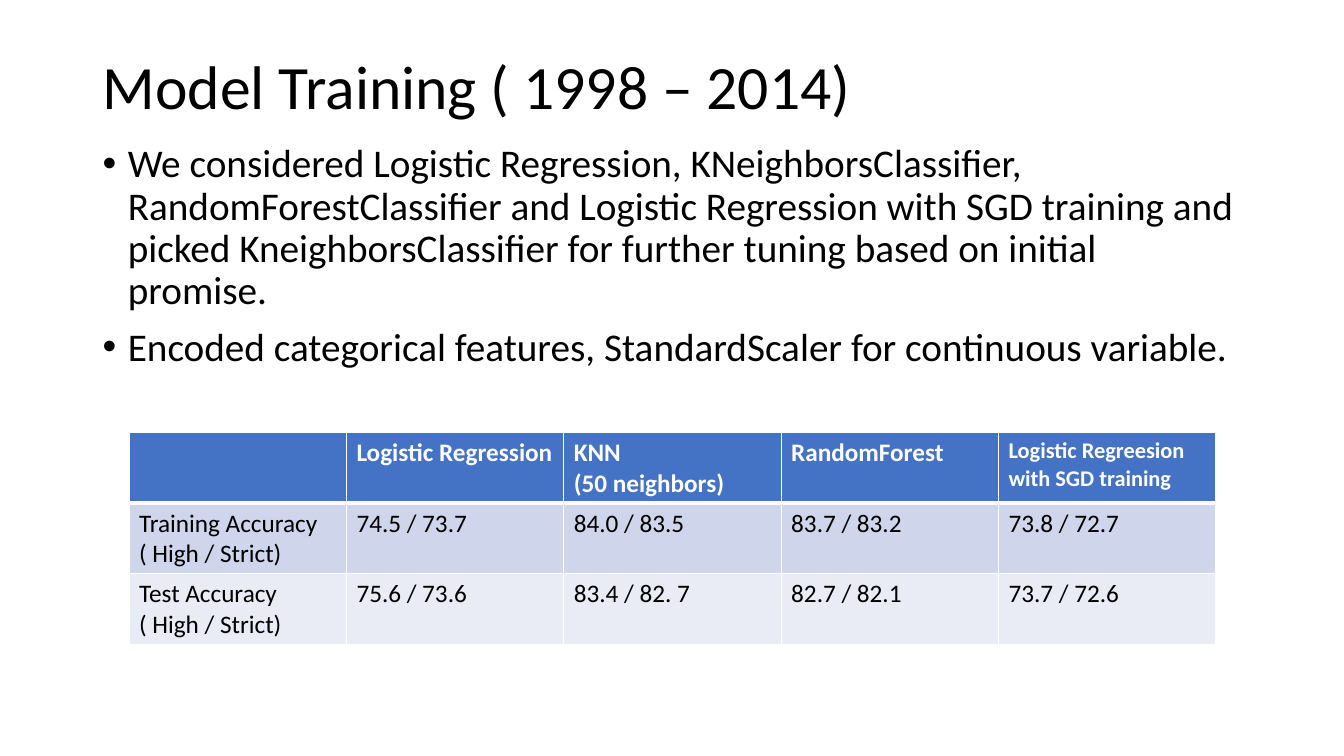
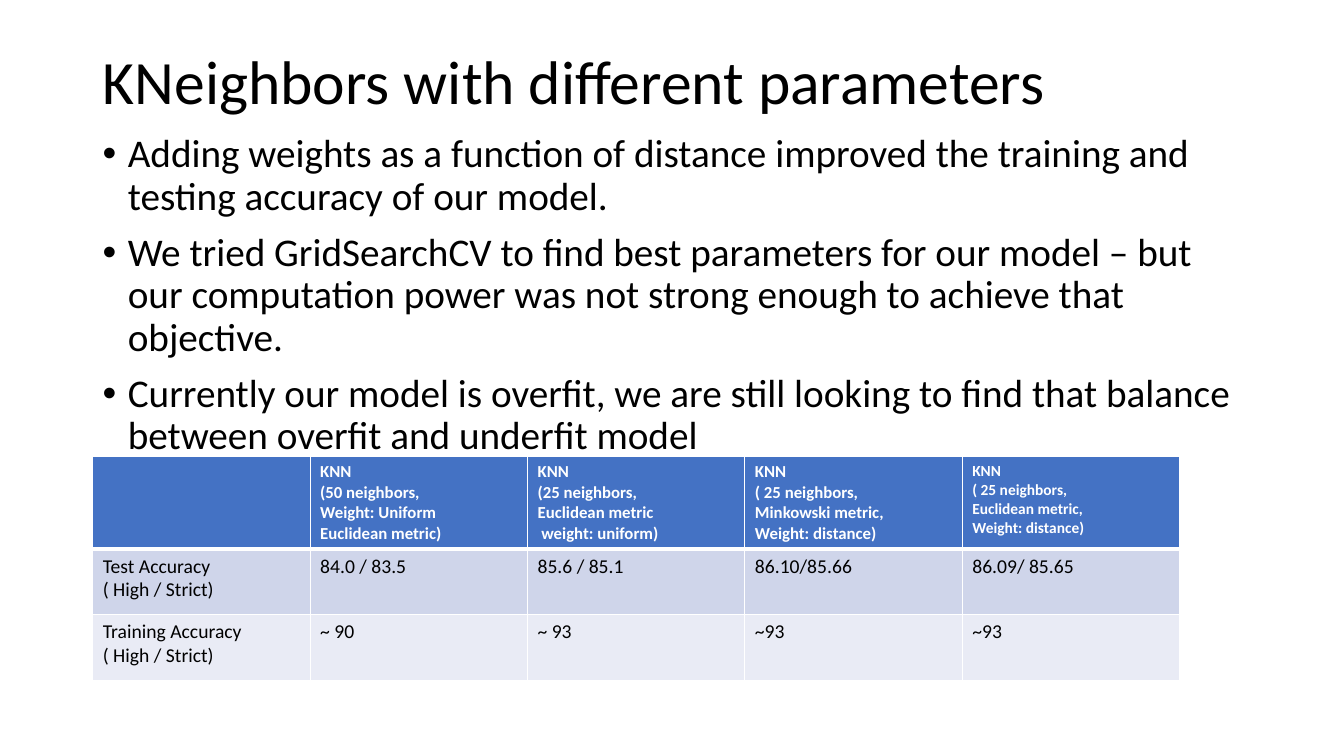
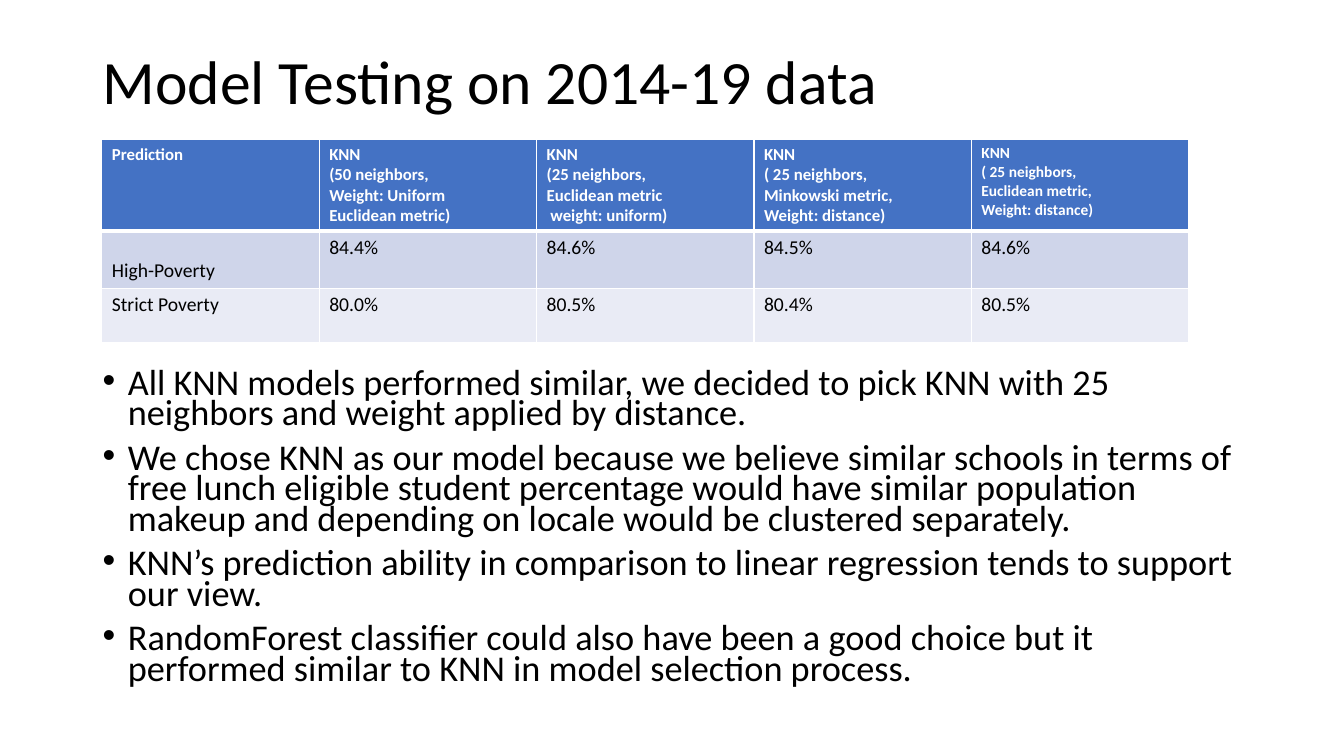
from dataclasses import dataclass

from lxml.etree import SubElement
from pptx import Presentation
from pptx.dml.color import RGBColor
from pptx.enum.text import MSO_ANCHOR as Anchor, MSO_AUTO_SIZE as Fit, PP_ALIGN as Align
from pptx.oxml.ns import qn
from pptx.slide import Slide
from pptx.table import Table
from pptx.text.text import TextFrame
from pptx.util import Inches, Pt

HUES = {"ink": "000000", "paper": "FFFFFF", "head": "4472C4",
        "odd": "CFD5EA", "even": "E9EBF5"}
FONT = "Calibri"
LEFT, WIDE, TOP, BASE = 0.92, 11.5, 0.4, 6.76
COL = 2.156
DENT = Inches(0.25)


@dataclass
class Points:
    """A bulleted list below or above the table."""
    top: float
    lines: list[str]
    size: float = 28
    pitch: float = 0.9


@dataclass
class Grid:
    """A table with a header row; line breaks split paragraphs."""
    left: float
    top: float
    rows: list[float]
    cells: list[list[str]]
    head: int
    last: int
    size: int


@dataclass
class Page:
    """One slide: title, list and table."""
    title: str
    tall: float
    points: Points
    grid: Grid


def write(frame: TextFrame, lines: list[str], *, size: float, hue: str = "ink",
          bold: bool = False, pitch: float = 1.0, gap: float = 0,
          bullet: bool = False) -> None:
    """Fill a text frame with one formatted paragraph per line."""
    for i, line in enumerate(lines):
        para = frame.paragraphs[0] if i == 0 else frame.add_paragraph()
        para.alignment = Align.LEFT
        para.line_spacing = pitch
        para.space_before = Pt(gap)
        if bullet:
            props = para._p.get_or_add_pPr()
            props.set("marL", str(DENT))
            props.set("indent", str(-DENT))
            SubElement(props, qn("a:buFont"), typeface="Arial")
            SubElement(props, qn("a:buChar"), char="•")
        run = para.add_run()
        run.text = line
        font = run.font
        font.name, font.size, font.bold = FONT, Pt(size), bold
        font.color.rgb = RGBColor.from_string(HUES[hue])


def add_title(slide: Slide, text: str, tall: float) -> None:
    """Place and format the title placeholder."""
    shape = slide.shapes.title
    shape.left, shape.top = Inches(LEFT), Inches(TOP)
    shape.width, shape.height = Inches(WIDE), Inches(tall)
    frame = shape.text_frame
    frame.word_wrap, frame.auto_size = True, Fit.NONE
    frame.vertical_anchor = Anchor.MIDDLE
    write(frame, [text], size=44, pitch=0.9)


def add_points(slide: Slide, points: Points) -> None:
    """Add the bulleted list."""
    box = slide.shapes.add_textbox(Inches(LEFT), Inches(points.top),
                                   Inches(WIDE), Inches(BASE - points.top))
    box.text_frame.word_wrap = True
    write(box.text_frame, points.lines, size=points.size, pitch=points.pitch,
          gap=10, bullet=True)


def add_rules(table: Table, r: int, c: int) -> None:
    """Draw a cell's white borders, thick below the header row."""
    props = table.cell(r, c)._tc.get_or_add_tcPr()
    for side in "LRTB":
        thick = (r, side) in ((0, "B"), (1, "T"))
        line = SubElement(props, qn(f"a:ln{side}"), w=str(Pt(3 if thick else 1)))
        fill = SubElement(line, qn("a:solidFill"))
        SubElement(fill, qn("a:srgbClr"), val=HUES["paper"])


def add_grid(slide: Slide, grid: Grid) -> None:
    """Add the table with its header and row fills."""
    count = len(grid.cells[0])
    table = slide.shapes.add_table(
        len(grid.rows), count, Inches(grid.left), Inches(grid.top),
        Inches(COL * count), Inches(sum(grid.rows))).table
    for col in table.columns:
        col.width = Inches(COL)
    for r, (tall, texts) in enumerate(zip(grid.rows, grid.cells)):
        table.rows[r].height = Inches(tall)
        band = "head" if r == 0 else "odd" if r % 2 else "even"
        for c, text in enumerate(texts):
            add_rules(table, r, c)
            cell = table.cell(r, c)
            cell.fill.solid()
            cell.fill.fore_color.rgb = RGBColor.from_string(HUES[band])
            size = grid.size if r else grid.last if c == count - 1 else grid.head
            if text == LOW:
                cell.vertical_anchor = Anchor.BOTTOM
            if text:
                write(cell.text_frame, text.split("\n"), size=size,
                      hue="ink" if r else "paper", bold=r == 0)


LOW = "High-Poverty"
RATES = "\n( High / Strict)"
TRAIN, TEST = "Training Accuracy" + RATES, "Test Accuracy" + RATES
KNN = [
    "KNN\n(50 neighbors,\nWeight: Uniform\nEuclidean metric)",
    "KNN\n(25 neighbors,\nEuclidean metric\n weight: uniform)",
    "KNN\n( 25 neighbors,\nMinkowski metric,\nWeight: distance)",
    "KNN\n( 25 neighbors,\nEuclidean metric,\nWeight: distance)",
]

PAGES = [
    Page("Model Training ( 1998 – 2014)", 0.98,
         Points(1.38, [
             "We considered Logistic Regression, KNeighborsClassifier, "
             "RandomForestClassifier and Logistic Regression with SGD training "
             "and picked KneighborsClassifier for further tuning based on "
             "initial promise.",
             "Encoded categorical features, StandardScaler for continuous variable.",
         ]),
         Grid(1.28, 4.29, [0.7] * 3, [
             ["", "Logistic Regression", "KNN\n(50 neighbors)", "RandomForest",
              "Logistic Regreesion with SGD training"],
             [TRAIN, "74.5 / 73.7", "84.0 / 83.5", "83.7 / 83.2", "73.8 / 72.7"],
             [TEST, "75.6 / 73.6", "83.4 / 82. 7", "82.7 / 82.1", "73.7 / 72.6"],
         ], head=18, last=16, size=18)),
    Page("KNeighbors with different parameters", 0.88,
         Points(1.28, [
             "Adding weights as a function of distance improved the training "
             "and testing accuracy of our model.",
             "We tried GridSearchCV to find best parameters for our model – but "
             "our computation power was not strong enough to achieve that objective.",
             "Currently our model is overfit, we are still looking to find that "
             "balance between overfit and underfit model",
         ]),
         Grid(0.92, 4.53, [0.92, 0.65, 0.65], [
             ["", *KNN],
             [TEST, "84.0 / 83.5", "85.6 / 85.1", "86.10/85.66", "86.09/ 85.65"],
             [TRAIN, "~ 90", "~ 93", "~93", "~93"],
         ], head=12, last=11, size=14)),
    Page("Model Testing on 2014-19 data", 0.88,
         Points(3.63, [
             "All KNN models performed similar, we decided to pick KNN with 25 "
             "neighbors and weight applied by distance.",
             "We chose KNN as our model because we believe similar schools in "
             "terms of free lunch eligible student percentage would have similar "
             "population makeup and depending on locale would be clustered separately.",
             "KNN’s prediction ability in comparison to linear regression tends "
             "to support our view.",
             "RandomForest classifier could also have been a good choice but it "
             "performed similar to KNN in model selection process.",
         ], size=25.9, pitch=0.7),
         Grid(1.01, 1.38, [0.91, 0.57, 0.54], [
             ["Prediction", *KNN],
             [LOW, "84.4%", "84.6%", "84.5%", "84.6%"],
             ["Strict Poverty", "80.0%", "80.5%", "80.4%", "80.5%"],
         ], head=12, last=11, size=14)),
]


def main() -> None:
    """Build and save the deck."""
    deck = Presentation()
    deck.slide_width, deck.slide_height = Inches(13.33), Inches(7.5)
    layout = deck.slide_layouts.get_by_name("Title Only")
    for page in PAGES:
        slide = deck.slides.add_slide(layout)
        add_title(slide, page.title, page.tall)
        add_points(slide, page.points)
        add_grid(slide, page.grid)
    deck.save("out.pptx")


main()
